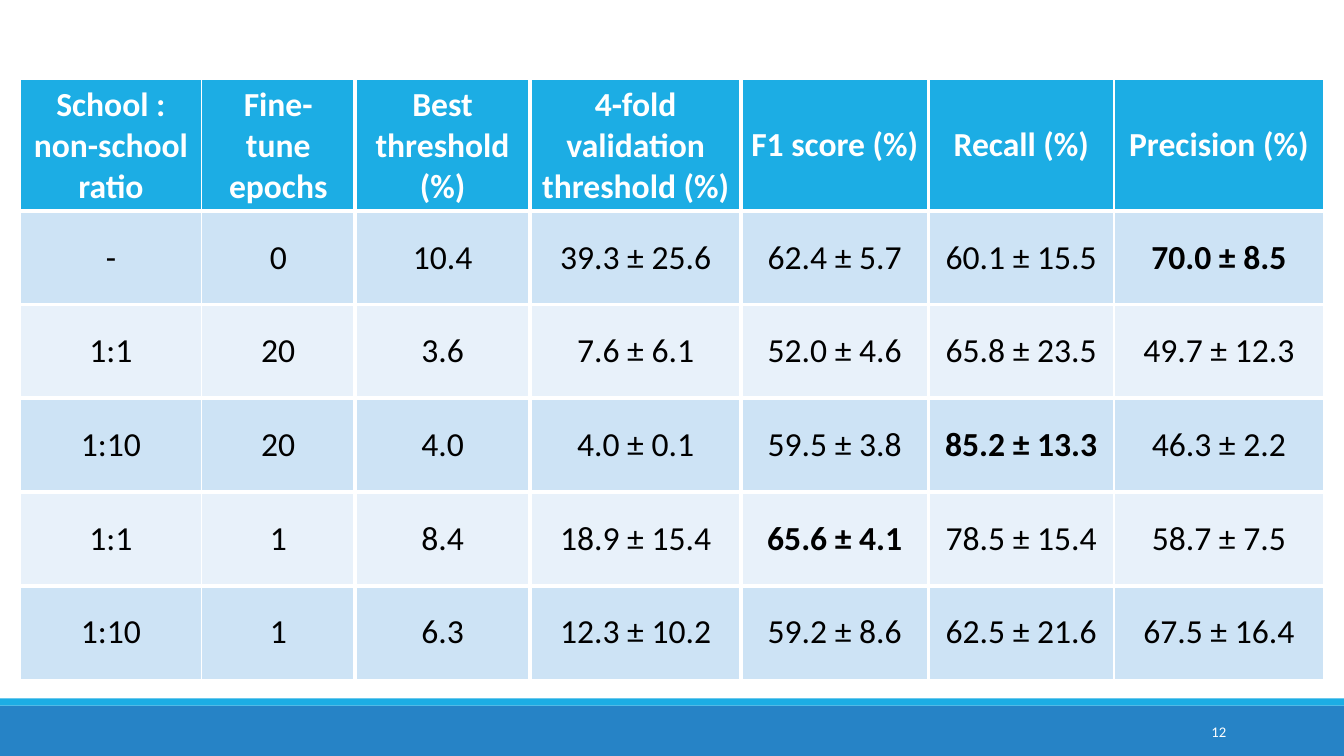
"""Build the slide comparing fine-tuning settings by classification score."""
from dataclasses import dataclass

from lxml import etree
from pptx import Presentation
from pptx.dml.color import RGBColor
from pptx.enum.shapes import MSO_SHAPE
from pptx.enum.text import MSO_ANCHOR, PP_ALIGN
from pptx.oxml.ns import qn
from pptx.slide import Slide
from pptx.table import _Cell
from pptx.text.text import TextFrame
from pptx.util import Inches, Pt

RECTANGLE = MSO_SHAPE.RECTANGLE
MIDDLE = MSO_ANCHOR.MIDDLE
CENTER, RIGHT = PP_ALIGN.CENTER, PP_ALIGN.RIGHT


@dataclass(frozen=True)
class Theme:
    font: str = "Calibri"
    white: str = "FFFFFF"
    black: str = "000000"
    cyan: str = "1CADE4"
    blue: str = "2683C6"
    odd_row: str = "CDE3F5"
    even_row: str = "E8F1FA"
    table_size: float = 24
    number_size: float = 10.5
    thin: float = 1
    thick: float = 3


@dataclass(frozen=True)
class Bar:
    top: float
    height: float
    color: str


@dataclass(frozen=True)
class Column:
    heading: str
    width: float
    values: tuple[str, ...]
    best_row: int = 0
    right_border: float = 3


THEME = Theme()
SLIDE_WIDTH, SLIDE_HEIGHT = 13.33, 7.5
TABLE_LEFT, TABLE_TOP = 0.2, 0.79
HEADING_HEIGHT, ROW_HEIGHT = 1.28, 0.93
BARS = (Bar(7, 0.5, THEME.blue), Bar(6.93, 0.07, THEME.cyan))
COLUMNS = (
    Column("School : non-school ratio", 1.8, ("-", "1:1", "1:10", "1:1", "1:10"),
           right_border=THEME.thin),
    Column("Fine-tune epochs", 1.52, ("0", "20", "20", "1", "1")),
    Column("Best threshold (%)", 1.74, ("10.4", "3.6", "4.0", "8.4", "6.3")),
    Column("4-fold validation threshold (%)", 2.09,
           ("39.3 ± 25.6", "7.6 ± 6.1", "4.0 ± 0.1", "18.9 ± 15.4", "12.3 ± 10.2")),
    Column("F1 score (%)", 1.86,
           ("62.4 ± 5.7", "52.0 ± 4.6", "59.5 ± 3.8", "65.6 ± 4.1", "59.2 ± 8.6"),
           best_row=4),
    Column("Recall (%)", 1.84,
           ("60.1 ± 15.5", "65.8 ± 23.5", "85.2 ± 13.3", "78.5 ± 15.4", "62.5 ± 21.6"),
           best_row=3, right_border=THEME.thin),
    Column("Precision (%)", 2.08,
           ("70.0 ± 8.5", "49.7 ± 12.3", "46.3 ± 2.2", "58.7 ± 7.5", "67.5 ± 16.4"),
           best_row=1, right_border=THEME.thin),
)


def write_text(frame: TextFrame, text: str, *, size: float, color: str,
               alignment: PP_ALIGN, bold: bool = False) -> None:
    """Write one formatted paragraph into a text frame."""
    frame.word_wrap = True
    paragraph = frame.paragraphs[0]
    paragraph.alignment = alignment
    run = paragraph.add_run()
    run.text = text
    run.font.name = THEME.font
    run.font.size = Pt(size)
    run.font.bold = bold
    run.font.color.rgb = RGBColor.from_string(color)


def draw_bar(slide: Slide, bar: Bar) -> None:
    """Draw a full-width footer bar."""
    shape = slide.shapes.add_shape(RECTANGLE, Inches(0), Inches(bar.top),
                                   Inches(SLIDE_WIDTH), Inches(bar.height))
    shape.shadow.inherit = False
    shape.fill.solid()
    shape.fill.fore_color.rgb = RGBColor.from_string(bar.color)
    shape.line.fill.background()


def fill_cell(cell: _Cell, color: str) -> None:
    """Give a cell a solid fill."""
    cell.fill.solid()
    cell.fill.fore_color.rgb = RGBColor.from_string(color)


def set_borders(cell: _Cell, **widths: float) -> None:
    """Put white borders of the given widths ahead of the cell fill."""
    properties = cell._tc.get_or_add_tcPr()
    for index, (side, width) in enumerate(widths.items()):
        line = etree.Element(qn(f"a:{side}"), w=str(Pt(width)))
        solid = etree.SubElement(line, qn("a:solidFill"))
        etree.SubElement(solid, qn("a:srgbClr"), val=THEME.white)
        properties.insert(index, line)


def draw_table(slide: Slide, columns: tuple[Column, ...]) -> None:
    """Draw the score table with banded rows and bold best scores."""
    row_count = len(columns[0].values) + 1
    width = sum(column.width for column in columns)
    height = HEADING_HEIGHT + ROW_HEIGHT * (row_count - 1)
    table = slide.shapes.add_table(row_count, len(columns), Inches(TABLE_LEFT),
                                   Inches(TABLE_TOP), Inches(width), Inches(height)).table
    for row_index, row in enumerate(table.rows):
        row.height = Inches(ROW_HEIGHT if row_index else HEADING_HEIGHT)
    left_border = THEME.thin
    for column_index, column in enumerate(columns):
        table.columns[column_index].width = Inches(column.width)
        for row_index, text in enumerate((column.heading, *column.values)):
            cell = table.cell(row_index, column_index)
            is_heading = row_index == 0
            is_last = row_index == row_count - 1
            band = THEME.odd_row if row_index % 2 else THEME.even_row
            fill_cell(cell, THEME.cyan if is_heading else band)
            cell.vertical_anchor = MIDDLE
            set_borders(cell, lnL=left_border, lnR=column.right_border,
                        lnT=THEME.thin if is_heading else THEME.thick,
                        lnB=THEME.thin if is_last else THEME.thick)
            write_text(cell.text_frame, text, size=THEME.table_size, alignment=CENTER,
                       color=THEME.white if is_heading else THEME.black,
                       bold=is_heading or row_index == column.best_row)
        left_border = column.right_border


def draw_slide_number(slide: Slide, number: str) -> None:
    """Write the slide number on the footer."""
    frame = slide.shapes.add_textbox(Inches(10.83), Inches(7.06),
                                     Inches(1.43), Inches(0.4)).text_frame
    frame.vertical_anchor = MIDDLE
    write_text(frame, number, size=THEME.number_size, color=THEME.white, alignment=RIGHT)


def main() -> None:
    """Build and save the presentation."""
    presentation = Presentation()
    presentation.slide_width = Inches(SLIDE_WIDTH)
    presentation.slide_height = Inches(SLIDE_HEIGHT)
    slide = presentation.slides.add_slide(presentation.slide_layouts[6])
    for bar in BARS:
        draw_bar(slide, bar)
    draw_slide_number(slide, "12")
    draw_table(slide, COLUMNS)
    presentation.save("out.pptx")


if __name__ == "__main__":
    main()
